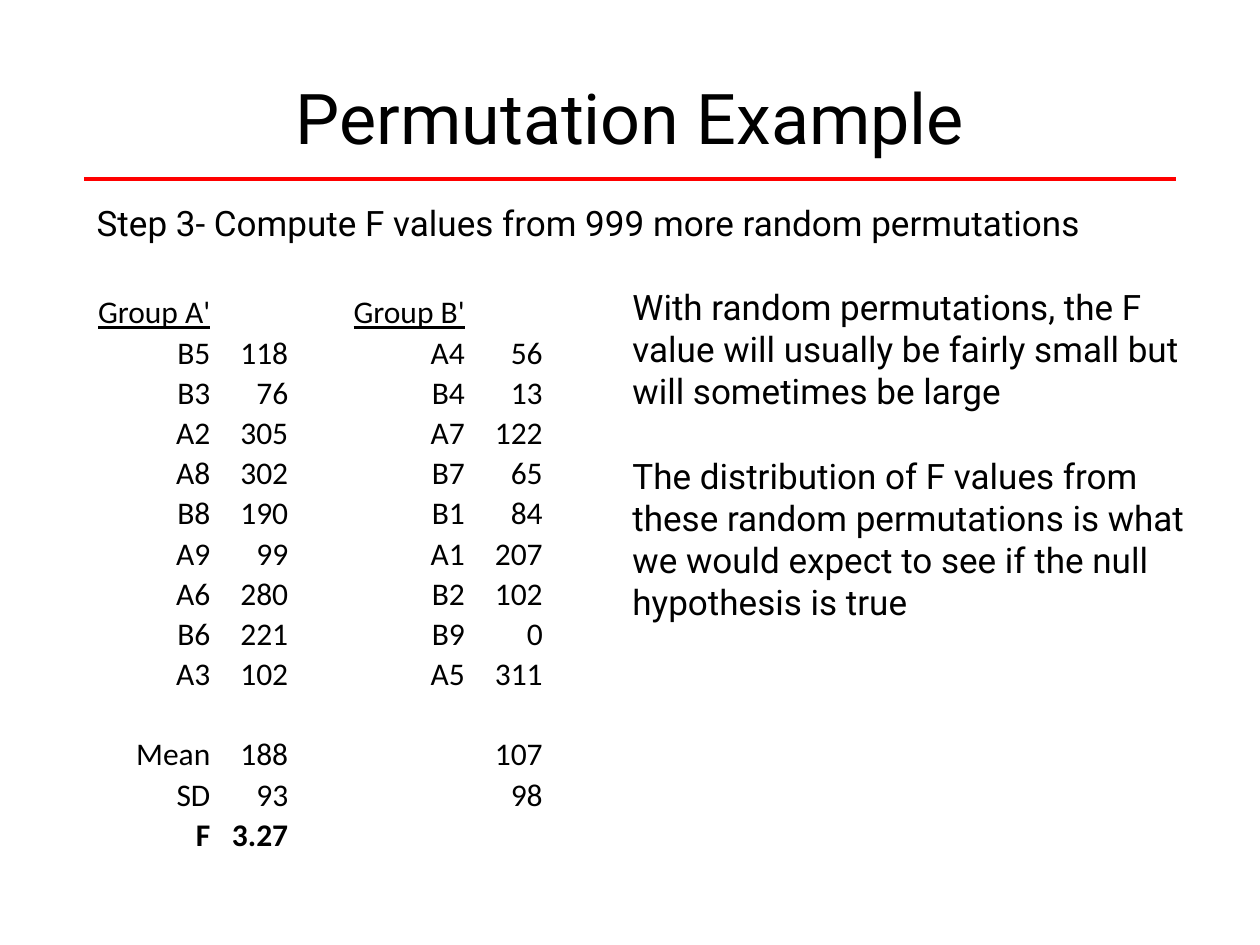
from lxml import etree
from pptx import Presentation
from pptx import util as u
from pptx.dml.color import RGBColor
from pptx.enum import shapes, text
from pptx.oxml.ns import qn

# Content
TITLE = "Permutation Example"
STEP = "Step 3- Compute F values from 999 more random permutations"
REMARKS = [
    "With random permutations, the F value will usually be fairly small but "
    "will sometimes be large",
    "The distribution of F values from these random permutations is what we "
    "would expect to see if the null hypothesis is true",
]
GROUP_A = [("B5", 118), ("B3", 76), ("A2", 305), ("A8", 302), ("B8", 190),
           ("A9", 99), ("A6", 280), ("B6", 221), ("A3", 102)]
GROUP_B = [("A4", 56), ("B4", 13), ("A7", 122), ("B7", 65), ("B1", 84),
           ("A1", 207), ("B2", 102), ("B9", 0), ("A5", 311)]
SUMMARY = [("Mean", 188, "", "", 107), ("SD", 93, "", "", 98),
           ("F", "3.27", "", "", "")]
ROWS = [("Group A'", "", "", "Group B'", ""),
        *[(*a, "", *b) for a, b in zip(GROUP_A, GROUP_B)],
        ("",) * 5,
        *SUMMARY]

COLORS = {"text": "000000", "rule": "FF0000"}
COLUMN_WIDTHS = [2.54, 1.57, 1.02, 2.54, 1.57]
ROW_HEIGHT = 0.81


def style(para, size, name, align):
    para.alignment = align
    para.font.size = u.Pt(size)
    para.font.name = name
    para.font.color.rgb = RGBColor.from_string(COLORS["text"])


def add_text(page, place, paragraphs, size, align=text.PP_ALIGN.LEFT,
             anchor=text.MSO_ANCHOR.TOP, wrap=True):
    frame = page.shapes.add_textbox(*map(u.Cm, place)).text_frame
    frame.word_wrap = wrap
    frame.vertical_anchor = anchor
    for index, words in enumerate(paragraphs):
        para = frame.paragraphs[0] if index == 0 else frame.add_paragraph()
        para.text = words
        style(para, size, "Roboto", align)
        if index:
            para.space_before = u.Pt(24)


deck = Presentation()
deck.slide_width, deck.slide_height = u.Cm(25.4), u.Cm(19.05)
page = deck.slides.add_slide(deck.slide_layouts[6])

# Rule under the title
rule = page.shapes.add_connector(shapes.MSO_CONNECTOR.STRAIGHT, u.Cm(1.7),
                                 u.Cm(3.61), u.Cm(23.7), u.Cm(3.61))
rule.line.color.rgb = RGBColor.from_string(COLORS["rule"])
rule.line.width = u.Pt(2.25)
etree.SubElement(rule._element.spPr, qn("a:effectLst"))

# Title, step and remarks
add_text(page, (1.27, 0.76, 22.86, 3.18), [TITLE], 40,
         text.PP_ALIGN.CENTER, text.MSO_ANCHOR.MIDDLE)
add_text(page, (1.7, 3.94, 22.58, 1.12), [STEP], 20, wrap=False)
add_text(page, (12.5, 5.64, 12.47, 7.09), REMARKS, 20)

# Table of permuted groups
table = page.shapes.add_table(
    len(ROWS), len(COLUMN_WIDTHS), u.Cm(1.73), u.Cm(5.89),
    u.Cm(sum(COLUMN_WIDTHS)), u.Cm(ROW_HEIGHT * len(ROWS))).table
table.first_row = table.horz_banding = False
for column, width in zip(table.columns, COLUMN_WIDTHS):
    column.width = u.Cm(width)
for r, values in enumerate(ROWS):
    table.rows[r].height = u.Cm(ROW_HEIGHT)
    for c, value in enumerate(values):
        cell = table.cell(r, c)
        cell.fill.background()
        cell.vertical_anchor = text.MSO_ANCHOR.BOTTOM
        cell.margin_left = cell.margin_right = cell.margin_top = u.Cm(0.03)
        cell.margin_bottom = 0
        cell.text = str(value)
        para = cell.text_frame.paragraphs[0]
        style(para, 18, "Calibri", text.PP_ALIGN.RIGHT)
        para.font.underline = r == 0
        para.font.bold = r == len(ROWS) - 1

deck.save("out.pptx")
